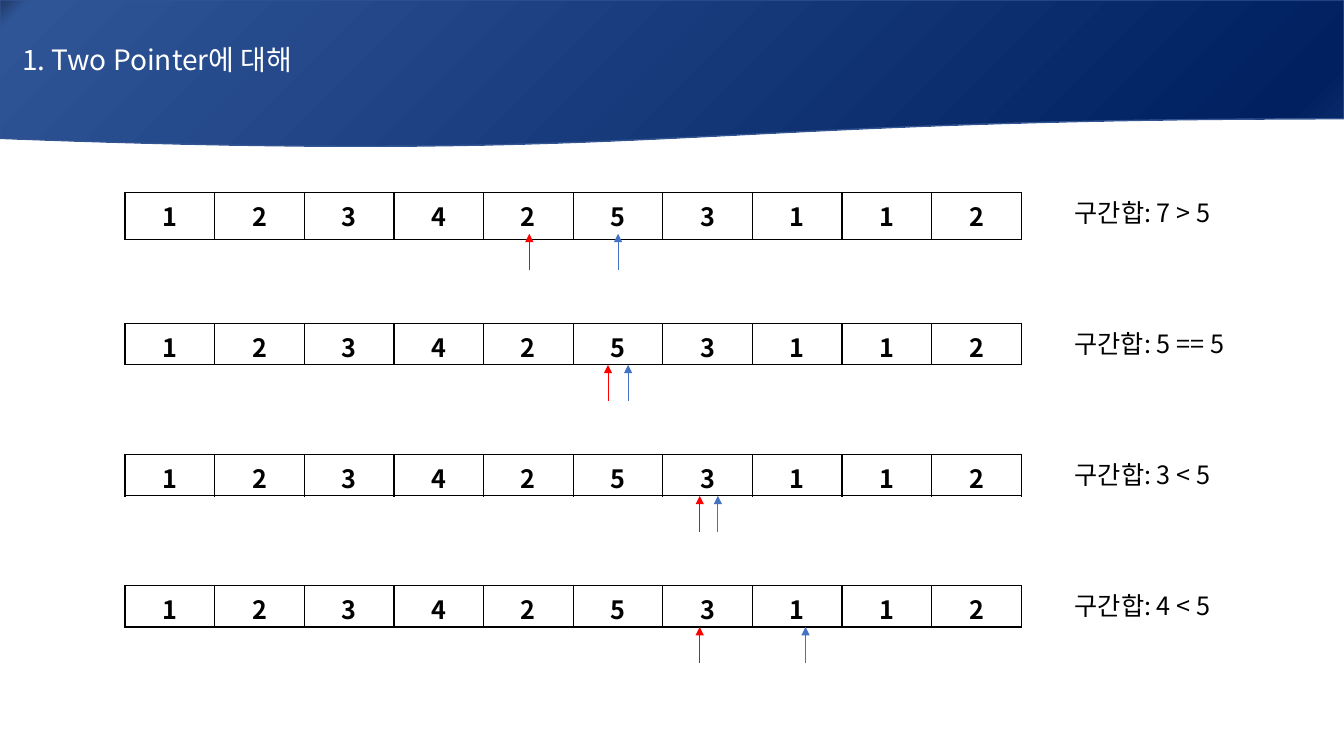
from dataclasses import dataclass

import lxml.etree
import pptx
import pptx.dml.color
import pptx.enum.shapes
import pptx.enum.text
import pptx.oxml
import pptx.oxml.ns
import pptx.util

Inches = pptx.util.Inches
Pt = pptx.util.Pt
RGBColor = pptx.dml.color.RGBColor
qn = pptx.oxml.ns.qn


@dataclass(frozen=True)
class Theme:
    font: str = "Noto Sans CJK KR"
    title_size: int = 20
    body_size: int = 18
    white: str = "FFFFFF"
    black: str = "000000"
    left_pointer: str = "FF0000"
    right_pointer: str = "4472C4"
    banner_line: str = "325491"
    banner_stops: tuple = ((0, "203864"), (2, "2F5597"), (94, "002060"), (100, "0D2E6F"))


@dataclass(frozen=True)
class Step:
    label: str
    left_pointer: float
    right_pointer: float
    label_width: float = 1.88


THEME = Theme()
NUMBERS = (1, 2, 3, 4, 2, 5, 3, 1, 1, 2)
STEPS = (
    Step("구간합: 7 > 5", 5.25, 6.13),
    Step("구간합: 5 == 5", 6.03, 6.23, 1.97),
    Step("구간합: 3 < 5", 6.94, 7.12),
    Step("구간합: 4 < 5", 6.94, 7.99),
)

# Layout in inches
FIRST_TOP, STEP_PITCH = 1.91, 1.3
ARRAY_LEFT, ARRAY_WIDTH, ROW_HEIGHT = 1.24, 8.89, 0.41
LABEL_LEFT, LABEL_HEIGHT = 10.56, 0.4
ARROW_LENGTH = 0.36


def write_text(frame, text: str, *, size: int = THEME.body_size, color: str = THEME.black,
               bold: bool = False, align=pptx.enum.text.PP_ALIGN.LEFT) -> None:
    para = frame.paragraphs[0]
    para.alignment = align
    span = para.add_run()
    span.text = text
    span.font.name = THEME.font
    span.font.size = Pt(size)
    span.font.bold = bold
    span.font.color.rgb = RGBColor.from_string(color)
    east_asian = lxml.etree.SubElement(span.font._element, qn("a:ea"))
    east_asian.set("typeface", THEME.font)


def draw_banner(page) -> None:
    banner = page.shapes.add_shape(pptx.enum.shapes.MSO_SHAPE.FLOWCHART_DOCUMENT,
                                   0, 0, Inches(13.33), Inches(1.47))
    banner.shadow.inherit = False
    banner.line.color.rgb = RGBColor.from_string(THEME.banner_line)
    banner.line.width = Pt(1)
    # Four-stop diagonal gradient
    stops = "".join(f'<a:gs pos="{position * 1000}"><a:srgbClr val="{color}"/></a:gs>'
                    for position, color in THEME.banner_stops)
    banner.fill.gradient()
    gradient = banner._element.spPr.find(qn("a:gradFill"))
    gradient.getparent().replace(gradient, pptx.oxml.parse_xml(
        f'<a:gradFill {pptx.oxml.ns.nsdecls("a")} rotWithShape="1"><a:gsLst>{stops}</a:gsLst>'
        '<a:lin ang="2700000" scaled="1"/></a:gradFill>'))
    frame = banner.text_frame
    frame.margin_left = Inches(0.22)
    frame.vertical_anchor = pptx.enum.text.MSO_ANCHOR.MIDDLE
    write_text(frame, "1. Two Pointer에 대해", size=THEME.title_size, color=THEME.white)


def add_borders(cell) -> None:
    properties = cell._tc.get_or_add_tcPr()
    for side in ("lnL", "lnR", "lnT", "lnB"):
        properties.append(pptx.oxml.parse_xml(
            f'<a:{side} {pptx.oxml.ns.nsdecls("a")} w="{Pt(1)}"><a:solidFill>'
            f'<a:srgbClr val="{THEME.black}"/></a:solidFill></a:{side}>'))


def draw_array(page, top: float) -> None:
    table = page.shapes.add_table(1, len(NUMBERS), Inches(ARRAY_LEFT), Inches(top),
                                  Inches(ARRAY_WIDTH), Inches(ROW_HEIGHT)).table
    table.first_row = False
    table.horz_banding = False
    for cell, number in zip(table.iter_cells(), NUMBERS):
        add_borders(cell)
        cell.fill.solid()
        cell.fill.fore_color.rgb = RGBColor.from_string(THEME.white)
        cell.vertical_anchor = pptx.enum.text.MSO_ANCHOR.MIDDLE
        write_text(cell.text_frame, str(number), bold=True,
                   align=pptx.enum.text.PP_ALIGN.CENTER)


def draw_pointer(page, x: float, tip: float, color: str) -> None:
    arrow = page.shapes.add_connector(pptx.enum.shapes.MSO_CONNECTOR.STRAIGHT,
                                      Inches(x), Inches(tip + ARROW_LENGTH),
                                      Inches(x), Inches(tip))
    arrow.line.color.rgb = RGBColor.from_string(color)
    arrow.line.width = Pt(0.5)
    lxml.etree.SubElement(arrow.line._get_or_add_ln(), qn("a:tailEnd")).set("type", "triangle")
    lxml.etree.SubElement(arrow._element.spPr, qn("a:effectLst"))


def draw_label(page, step: Step, top: float) -> None:
    box = page.shapes.add_textbox(Inches(LABEL_LEFT), Inches(top),
                                  Inches(step.label_width), Inches(LABEL_HEIGHT))
    box.text_frame.word_wrap = True
    box.text_frame.auto_size = pptx.enum.text.MSO_AUTO_SIZE.SHAPE_TO_FIT_TEXT
    write_text(box.text_frame, step.label)


def draw_step(page, step: Step, top: float) -> None:
    draw_array(page, top)
    tip = top + ROW_HEIGHT
    draw_pointer(page, step.left_pointer, tip, THEME.left_pointer)
    draw_pointer(page, step.right_pointer, tip, THEME.right_pointer)
    draw_label(page, step, top)


def main() -> None:
    deck = pptx.Presentation()
    deck.slide_width = Inches(13.33)
    deck.slide_height = Inches(7.5)
    page = deck.slides.add_slide(deck.slide_layouts[6])
    draw_banner(page)
    for index, step in enumerate(STEPS):
        draw_step(page, step, FIRST_TOP + index * STEP_PITCH)
    deck.save("out.pptx")


if __name__ == "__main__":
    main()
